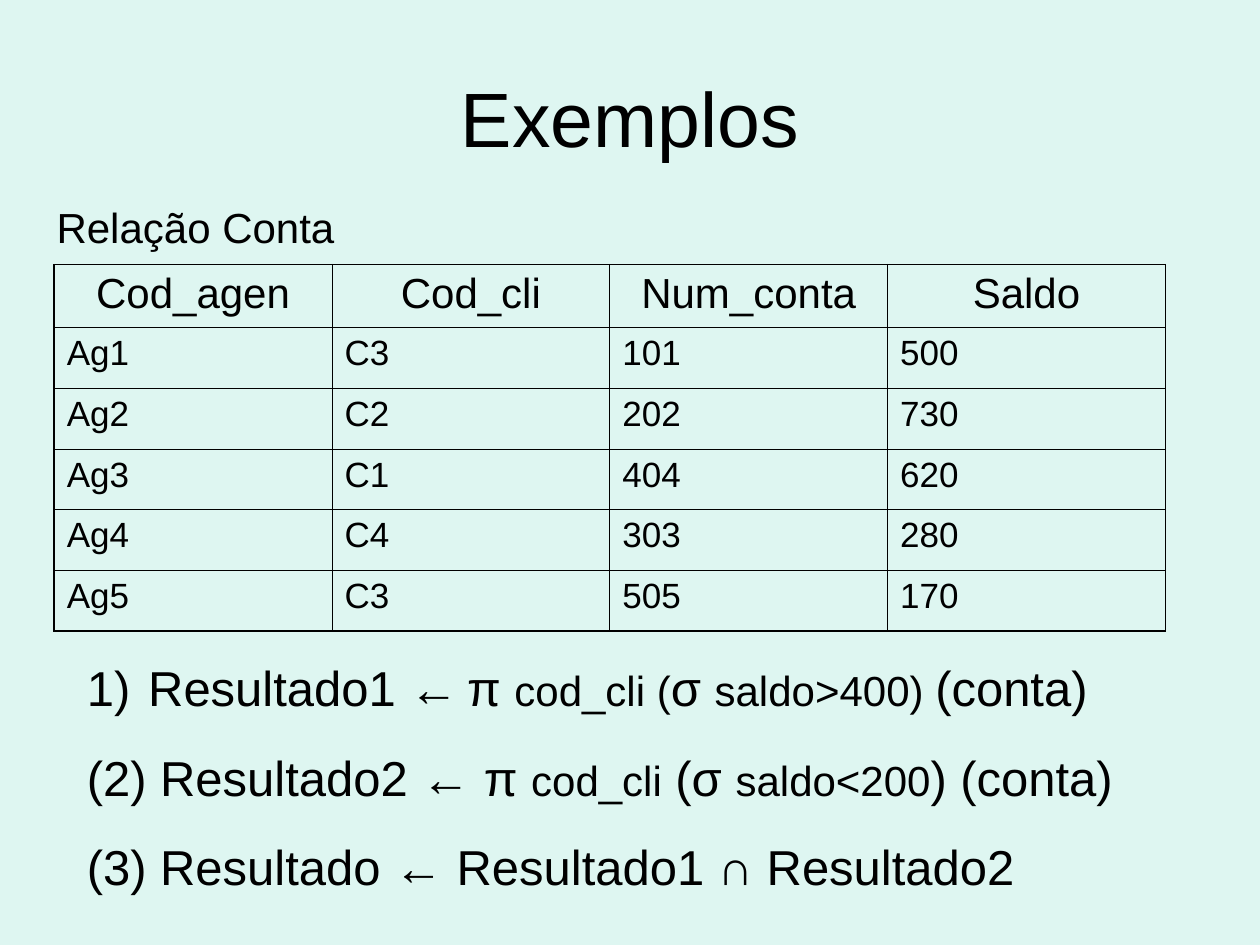
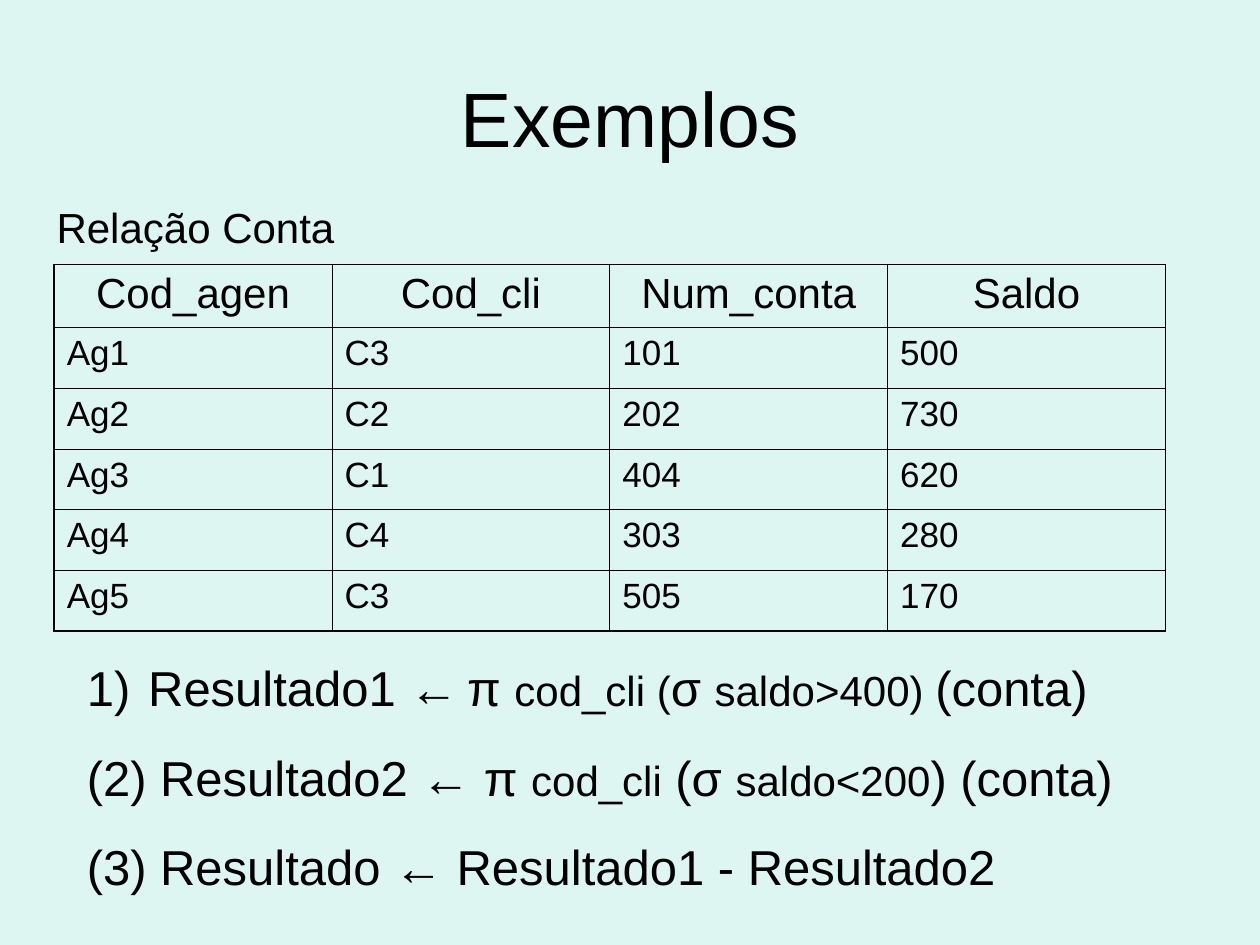
import pptx
import pptx.util
import pptx.dml.color
import pptx.enum.text
import pptx.oxml.ns
from lxml import etree
from pptx.util import Inches

COLORS = {"background": "DEF6F1", "ink": "000000"}
FONT = "Arial"
TITLE = "Exemplos"
CAPTION = "Relação Conta"
HEADER = ["Cod_agen", "Cod_cli", "Num_conta", "Saldo"]
ACCOUNTS = [
    ["Ag1", "C3", "101", "500"],
    ["Ag2", "C2", "202", "730"],
    ["Ag3", "C1", "404", "620"],
    ["Ag4", "C4", "303", "280"],
    ["Ag5", "C3", "505", "170"],
]
# Each step is a list of (text, size) runs; the first step is auto-numbered.
SHARED_STEPS = [
    [(" Resultado1 ←", 28), (" ", 18), ("π ", 28), ("cod_cli (", 24),
     ("σ ", 28), ("saldo>400) ", 24), ("(conta)", 28)],
    [("(2) Resultado2 ← π ", 28), ("cod_cli", 24), (" (σ ", 28),
     ("saldo<200", 24), (") (conta)", 28)],
]
FINAL_STEPS = [
    "(3) Resultado ← Resultado1 ∩ Resultado2",
    "(3) Resultado ← Resultado1 - Resultado2",
]

TITLE_BOX = (0.5, 0.3, 9, 1.25)
CAPTION_BOX = (0.35, 1.55, 3.78, 0.5)
TABLE_BOX = (0.43, 2.1, 8.82, 2.91)
STEPS_BOX = (0.59, 5.17, 8.58, 1.99)
HEADER_HEIGHT = 0.5
STEP_INDENT = 0.38
STEP_GAP = 17.5
THICK, THIN = 1.08, 0.45

ALIGN = pptx.enum.text.PP_ALIGN
ANCHOR = pptx.enum.text.MSO_ANCHOR
FIT = pptx.enum.text.MSO_AUTO_SIZE.SHAPE_TO_FIT_TEXT
qn = pptx.oxml.ns.qn


def rgb(name):
    return pptx.dml.color.RGBColor.from_string(COLORS[name])


def add_runs(p, runs):
    for text, size in runs:
        r = p.add_run()
        r.text = text
        r.font.color.rgb = rgb("ink")
        for key, value in {"name": FONT, "size": pptx.util.Pt(size)}.items():
            setattr(r.font, key, value)


def add_text(s, box, paragraphs, align=ALIGN.LEFT, **frame_format):
    tf = s.shapes.add_textbox(*map(Inches, box)).text_frame
    for key, value in {"word_wrap": True, **frame_format}.items():
        setattr(tf, key, value)
    for i, runs in enumerate(paragraphs):
        p = tf.add_paragraph() if i else tf.paragraphs[0]
        p.alignment = align
        add_runs(p, runs)
    return tf


def set_borders(cell, widths):
    tcPr = cell._tc.get_or_add_tcPr()
    for side, width in widths.items():
        ln = etree.SubElement(tcPr, qn(f"a:ln{side}"), w=str(pptx.util.Pt(width)))
        fill = etree.SubElement(ln, qn("a:solidFill"))
        etree.SubElement(fill, qn("a:srgbClr"), val=COLORS["ink"])


def add_accounts_table(s):
    rows = [HEADER] + ACCOUNTS
    last_row, last_col = len(rows) - 1, len(HEADER) - 1
    width, height = TABLE_BOX[2:]
    table = s.shapes.add_table(len(rows), len(HEADER), *map(Inches, TABLE_BOX)).table
    table.first_row = table.horz_banding = False
    for column in table.columns:
        column.width = Inches(width / len(HEADER))
    for i, values in enumerate(rows):
        table.rows[i].height = Inches((height - HEADER_HEIGHT) / last_row if i else HEADER_HEIGHT)
        for j, value in enumerate(values):
            cell = table.cell(i, j)
            edges = {"L": j == 0, "R": j == last_col, "T": i == 0, "B": i == last_row}
            set_borders(cell, {side: THICK if outer else THIN for side, outer in edges.items()})
            cell.fill.background()
            p = cell.text_frame.paragraphs[0]
            p.alignment = ALIGN.LEFT if i else ALIGN.CENTER
            add_runs(p, [(value, 20 if i else 24)])


def add_steps(s, steps):
    tf = add_text(s, STEPS_BOX, steps, auto_size=FIT)
    for i, p in enumerate(tf.paragraphs):
        pPr = p._p.get_or_add_pPr()
        pPr.set("marL", str(Inches(STEP_INDENT)))
        pPr.set("indent", str(-Inches(STEP_INDENT)))
        if i:
            p.space_before = pptx.util.Pt(STEP_GAP)
        else:
            etree.SubElement(pPr, qn("a:buFont"), typeface=FONT)
            etree.SubElement(pPr, qn("a:buAutoNum"), type="arabicParenR")


def main():
    prs = pptx.Presentation()
    prs.slide_width, prs.slide_height = Inches(10), Inches(7.5)
    for final_step in FINAL_STEPS:
        s = prs.slides.add_slide(prs.slide_layouts[6])
        s.background.fill.solid()
        s.background.fill.fore_color.rgb = rgb("background")
        add_text(s, TITLE_BOX, [[(TITLE, 44)]], ALIGN.CENTER, vertical_anchor=ANCHOR.MIDDLE)
        add_accounts_table(s)
        add_text(s, CAPTION_BOX, [[(CAPTION, 24)]], auto_size=FIT)
        add_steps(s, SHARED_STEPS + [[(final_step, 28)]])
    prs.save("out.pptx")


if __name__ == "__main__":
    main()
